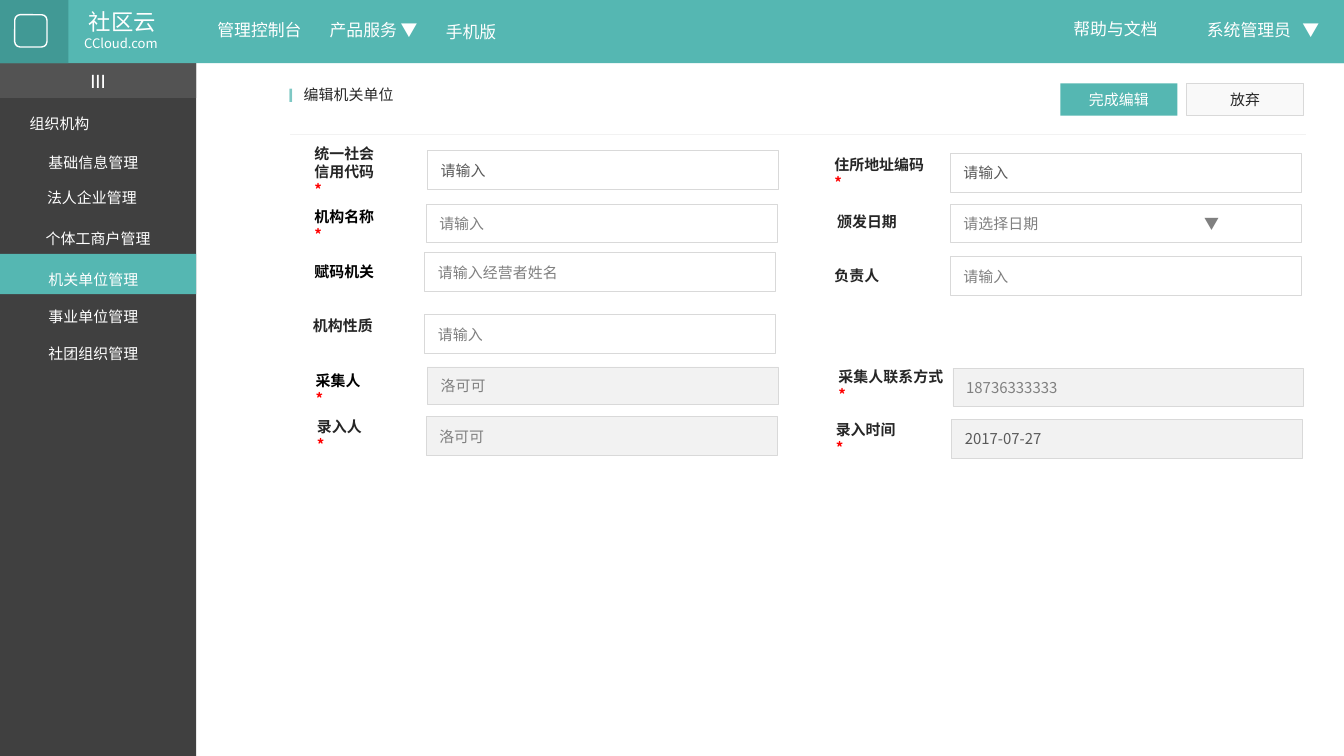
from lxml import etree
from pptx import Presentation
from pptx import util as u
from pptx.dml.color import RGBColor
from pptx.enum import shapes, text
from pptx.oxml.ns import qn

Inches = u.Inches
SANS, LATIN = "Noto Sans CJK SC", "Calibri"
COLORS = {
    "teal": "55B7B2", "dark_teal": "419995", "light_teal": "7EC8C4",
    "sidebar": "404040", "sidebar_top": "535353", "white": "FFFFFF",
    "off_white": "F9F9F9", "disabled": "F2F2F2", "border": "D9D9D9",
    "ink": "262626", "black": "000000", "value": "595959", "hint": "808080",
    "red": "FF0000",
}
LEFT, CENTER = text.PP_ALIGN.LEFT, text.PP_ALIGN.CENTER
TOP, MIDDLE = text.MSO_ANCHOR.TOP, text.MSO_ANCHOR.MIDDLE

# A 16:9 slide
prs = Presentation()
prs.slide_width = Inches(10)
prs.slide_height = prs.slide_width * 9 // 16
slide = prs.slides.add_slide(prs.slide_layouts[5])


def write(shape, words, size, color, align=LEFT, anchor=MIDDLE,
          inset=(0.1, 0.05), font=SANS, bold=False, tab=None):
    """Put words into a shape; a closing star becomes a red run."""
    frame = shape.text_frame
    frame.text = words.rstrip("*")
    if words.endswith("*"):
        frame.paragraphs[-1].add_run().text = "*"
    frame.word_wrap = True
    frame.auto_size = text.MSO_AUTO_SIZE.NONE
    frame.vertical_anchor = anchor
    frame.margin_left = frame.margin_right = Inches(inset[0])
    frame.margin_top = frame.margin_bottom = Inches(inset[1])
    for paragraph in frame.paragraphs:
        paragraph.alignment = align
        if tab:
            stops = etree.SubElement(paragraph._p.get_or_add_pPr(), qn("a:tabLst"))
            etree.SubElement(stops, qn("a:tab"), pos=str(Inches(tab)), algn="l")
        for run in paragraph.runs:
            run.font.size, run.font.bold, run.font.name = u.Pt(size), bold, font
            run_color = COLORS["red" if run.text == "*" else color]
            run.font.color.rgb = RGBColor.from_string(run_color)
            east_asian = etree.SubElement(run._r.get_or_add_rPr(), qn("a:ea"))
            east_asian.set("typeface", font)


def panel(x, y, w, h, fill=None, line=None, weight=0.25,
          kind=shapes.MSO_SHAPE.RECTANGLE):
    """Add a flat shape with an optional fill and outline."""
    shape = slide.shapes.add_shape(kind, Inches(x), Inches(y), Inches(w), Inches(h))
    shape.shadow.inherit = False
    if fill:
        shape.fill.solid()
        shape.fill.fore_color.rgb = RGBColor.from_string(COLORS[fill])
    else:
        shape.fill.background()
    if line:
        shape.line.color.rgb = RGBColor.from_string(COLORS[line])
        shape.line.width = u.Pt(weight)
    else:
        shape.line.fill.background()
    return shape


# Page heading
heading = slide.shapes.title
heading.left, heading.top = Inches(2.16), Inches(0.59)
heading.width, heading.height = Inches(1.89), Inches(0.24)
write(heading, "编辑机关单位", 8, "ink", anchor=TOP)
heading_mark = slide.shapes.add_textbox(Inches(2.01), Inches(0.57), Inches(0.31), Inches(0.27))
write(heading_mark, "I", 11, "light_teal", CENTER, font=LATIN, bold=True)
divider = slide.shapes.add_connector(shapes.MSO_CONNECTOR.STRAIGHT,
                                     Inches(2.16), Inches(1), Inches(9.72), Inches(1))
divider.line.color.rgb = RGBColor.from_string(COLORS["disabled"])
divider.line.width = u.Pt(0.25)
etree.SubElement(divider._element.spPr, qn("a:effectLst"))

# Sidebar and top bar backgrounds
panel(0, 0.46, 1.46, 5.17, "sidebar")
collapse_bar = panel(0, 0.47, 1.46, 0.26, "sidebar_top")
write(collapse_bar, "III", 11, "white", CENTER, font=LATIN)
panel(0, 0, 10, 0.47, "teal")
panel(8.78, 0, 1.22, 0.47, "teal")
panel(0, 0, 0.51, 0.47, "dark_teal")
panel(0.11, 0.11, 0.24, 0.24, None, "white", 0.75, shapes.MSO_SHAPE.ROUNDED_RECTANGLE)

# Top bar entries: words, left, top, width, height, size
for words, x, y, w, h, size in [
    ("社区云", 0.44, 0.02, 0.94, 0.3, 12),
    ("CCloud.com", 0.42, 0.22, 0.96, 0.22, 7),
    ("管理控制台", 1.42, 0.11, 1.02, 0.25, 9),
    ("产品服务 ▼", 2.31, 0.11, 0.94, 0.25, 9),
    ("手机版", 3.11, 0.12, 0.79, 0.25, 9),
    ("帮助与文档", 7.83, 0.1, 0.94, 0.25, 9),
]:
    entry = slide.shapes.add_textbox(Inches(x), Inches(y), Inches(w), Inches(h))
    write(entry, words, size, "white", CENTER, TOP, (0.07, 0.04))
account = slide.shapes.add_textbox(Inches(8.91), Inches(0.11), Inches(1.05), Inches(0.25))
write(account, "系统管理员\t▼", 9, "white", LEFT, TOP, (0.07, 0.04), tab=0.71)

# Sidebar menu with the current entry highlighted
panel(0, 1.89, 1.46, 0.3, "teal")
for words, x, y in [
    ("组织机构", 0.15, 0.81),
    ("基础信息管理", 0.29, 1.1),
    ("法人企业管理", 0.28, 1.36),
    ("个体工商户管理", 0.27, 1.67),
    ("机关单位管理", 0.29, 1.97),
    ("事业单位管理", 0.29, 2.25),
    ("社团组织管理", 0.29, 2.52),
]:
    menu_entry = slide.shapes.add_textbox(Inches(x), Inches(y), Inches(1.02), Inches(0.21))
    write(menu_entry, words, 8, "white", anchor=TOP, inset=(0.07, 0.04))

# Buttons
write(panel(7.89, 0.62, 0.87, 0.24, "teal"), "完成编辑", 8, "white", CENTER)
write(panel(8.83, 0.62, 0.87, 0.24, "off_white", "border"), "放弃", 8, "ink", CENTER)

# Input fields: words, left, top, height, fill, text colour
for words, x, y, h, fill, color in [
    ("请输入", 3.18, 1.12, 0.29, None, "value"),
    ("请输入", 3.17, 1.52, 0.28, None, "hint"),
    ("请输入经营者姓名", 3.16, 1.88, 0.29, None, "hint"),
    ("请输入", 3.16, 2.34, 0.29, None, "hint"),
    ("洛可可", 3.18, 2.73, 0.28, "disabled", "hint"),
    ("洛可可", 3.17, 3.1, 0.29, "disabled", "hint"),
    ("请输入", 7.07, 1.14, 0.29, None, "value"),
    ("请选择日期\t▼", 7.07, 1.52, 0.28, None, "hint"),
    ("请输入", 7.07, 1.91, 0.29, None, "hint"),
    ("18736333333", 7.09, 2.74, 0.28, "disabled", "hint"),
    ("2017-07-27", 7.08, 3.12, 0.29, "disabled", "value"),
]:
    field = panel(x, y, 2.61, h, fill, "border")
    write(field, words, 8, color, tab=1.79 if "\t" in words else None)

# Field labels: words, left, top, height, colour
# The width fits the characters, so the star of a required field wraps below
for words, x, y, h, color in [
    ("统一社会\n信用代码 *", 2.24, 1.09, 0.37, "ink"),
    ("机构名称*", 2.24, 1.56, 0.24, "black"),
    ("赋码机关", 2.24, 1.9, 0.24, "black"),
    ("机构性质", 2.23, 2.3, 0.24, "ink"),
    ("采集人*", 2.25, 2.78, 0.24, "black"),
    ("录入人*", 2.26, 3.12, 0.24, "ink"),
    ("住所地址编码*", 6.11, 1.17, 0.24, "ink"),
    ("颁发日期", 6.13, 1.53, 0.24, "ink"),
    ("负责人", 6.11, 1.93, 0.24, "ink"),
    ("采集人联系方式*", 6.14, 2.75, 0.24, "ink"),
    ("录入时间*", 6.12, 3.14, 0.24, "ink"),
]:
    longest = max(len(line.rstrip(" *")) for line in words.splitlines())
    label = slide.shapes.add_textbox(Inches(x), Inches(y),
                                     Inches(0.23) + u.Pt(8) * longest, Inches(h))
    write(label, words, 8, color, bold=True)

prs.save("out.pptx")
